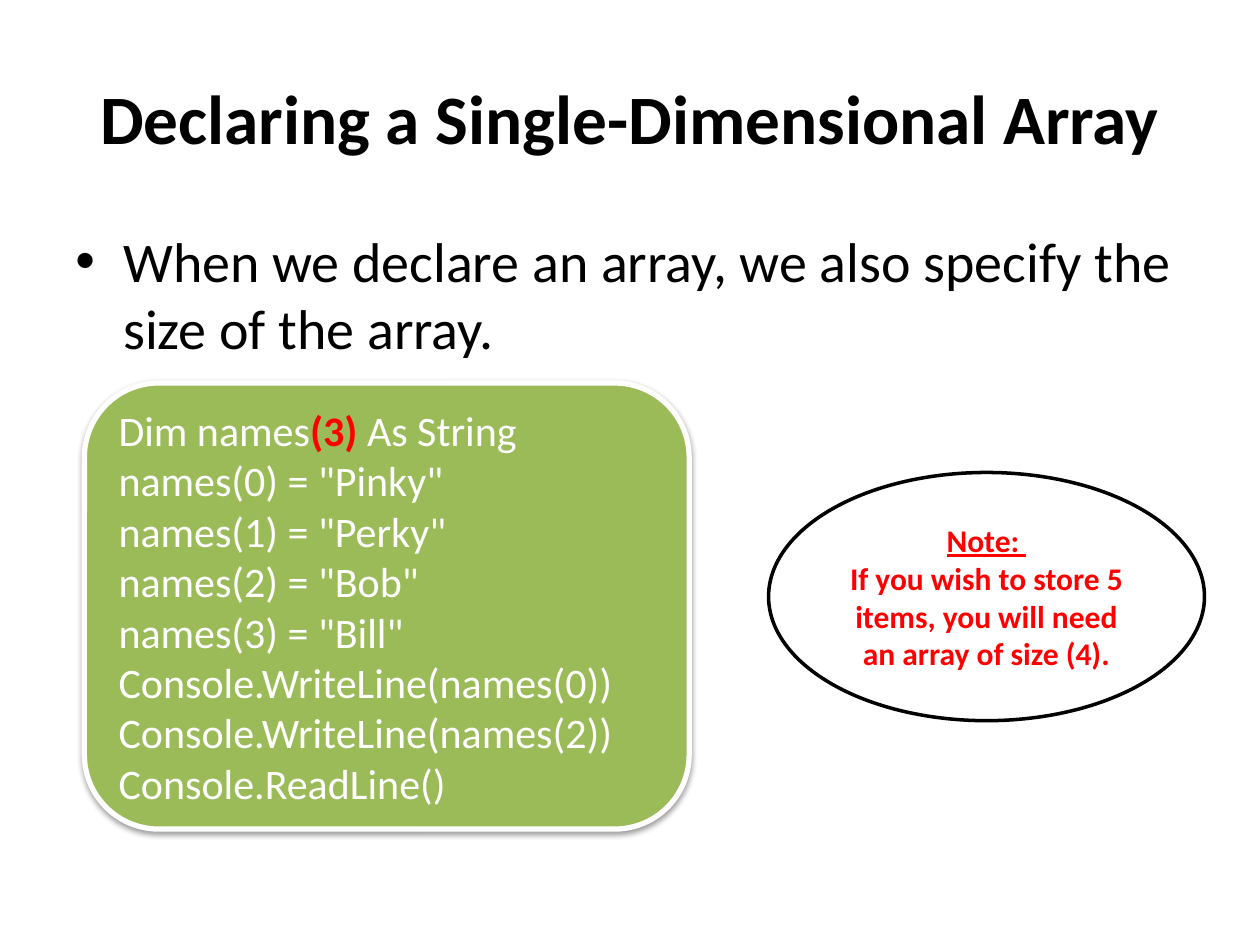
from lxml import etree
from pptx import Presentation, util as u
from pptx.dml.color import RGBColor
from pptx.enum import shapes, text
from pptx.oxml.ns import qn

COLUMNS, ROWS = 10, 7.5
BLACK, WHITE, RED, GREEN = "000000", "FFFFFF", "FF0000", "9BBB59"

CODE_START = "Dim names"
CODE_SIZE = "(3) "
CODE_REST = """As String
names(0) = "Pinky"
names(1) = "Perky"
names(2) = "Bob"
names(3) = "Bill"
Console.WriteLine(names(0))
Console.WriteLine(names(2))
Console.ReadLine()"""


def color(hex_string):
    return RGBColor.from_string(hex_string)


class Lesson:
    """Holds the style and the current slide; places are in grid columns and rows."""

    font_name = "Calibri"

    def __init__(self):
        self.deck = Presentation()
        self.deck.slide_width = u.Inches(10)
        self.deck.slide_height = u.Inches(7.5)
        self.slide = self.deck.slides.add_slide(self.deck.slide_layouts[6])

    def place(self, column, row, columns, rows):
        wide, high = self.deck.slide_width, self.deck.slide_height
        return (int(wide * column / COLUMNS), int(high * row / ROWS),
                int(wide * columns / COLUMNS), int(high * rows / ROWS))

    def format_run(self, run, size, ink, bold=False, underline=False):
        font = run.font
        font.name, font.size = self.font_name, u.Pt(size)
        font.bold, font.underline = bold, underline
        font.color.rgb = color(ink)

    def text_box(self, place, words, size, bold=False):
        frame = self.slide.shapes.add_textbox(*self.place(*place)).text_frame
        frame.word_wrap = True
        frame.text = words
        self.format_run(frame.paragraphs[0].runs[0], size, BLACK, bold)
        return frame

    def title(self, place, words):
        frame = self.text_box(place, words, 39.6, bold=True)
        frame.vertical_anchor = text.MSO_ANCHOR.MIDDLE
        frame.paragraphs[0].alignment = text.PP_ALIGN.CENTER

    def bullet(self, place, words):
        frame = self.text_box(place, words, 32)
        properties = frame.paragraphs[0]._p.get_or_add_pPr()
        indent = u.Inches(0.38)
        properties.set("marL", str(indent))
        properties.set("indent", str(-indent))
        etree.SubElement(properties, qn("a:buFont")).set("typeface", "Arial")
        etree.SubElement(properties, qn("a:buChar")).set("char", "•")

    def panel(self, kind, place, fill, border, border_width):
        panel = self.slide.shapes.add_shape(kind, *self.place(*place))
        panel.shadow.inherit = False
        panel.fill.solid()
        panel.fill.fore_color.rgb = color(fill)
        panel.line.color.rgb = color(border)
        panel.line.width = u.Pt(border_width)
        panel.text_frame.word_wrap = True
        panel.text_frame.vertical_anchor = text.MSO_ANCHOR.MIDDLE
        return panel

    def drop_shadow(self, panel):
        effects = panel._element.spPr.find(qn("a:effectLst"))
        shadow = etree.SubElement(
            effects, qn("a:outerShdw"), blurRad=str(u.Pt(3.1)),
            dist=str(u.Pt(1.6)), dir="5400000", rotWithShape="0")
        ink = etree.SubElement(shadow, qn("a:srgbClr"), val=BLACK)
        etree.SubElement(ink, qn("a:alpha"), val="38000")

    def code(self, place, spans):
        """Spans are (words, ink, bold); a new line in the words breaks the line."""
        panel = self.panel(shapes.MSO_SHAPE.ROUNDED_RECTANGLE, place, GREEN, WHITE, 3)
        self.drop_shadow(panel)
        listing = panel.text_frame.paragraphs[0]
        listing.alignment = text.PP_ALIGN.LEFT
        for words, ink, bold in spans:
            for number, line in enumerate(words.split("\n")):
                if number:
                    listing.add_line_break()
                run = listing.add_run()
                run.text = line
                self.format_run(run, 24, ink, bold)

    def note(self, place, heading, words):
        frame = self.panel(shapes.MSO_SHAPE.OVAL, place, WHITE, BLACK, 2).text_frame
        frame.text = f"{heading}\n{words}"
        for paragraph, underline in zip(frame.paragraphs, (True, False)):
            paragraph.alignment = text.PP_ALIGN.CENTER
            self.format_run(paragraph.runs[0], 18, RED, True, underline)


def main():
    lesson = Lesson()
    lesson.title((0.5, 0.3, 9, 1.25), "Declaring a Single-Dimensional Array")
    lesson.bullet((0.5, 1.75, 9, 1.2),
                  "When we declare an array, we also specify the size of the array.")
    lesson.code((0.67, 3.04, 4.8, 3.54),
                [(CODE_START, WHITE, False), (CODE_SIZE, RED, True),
                 (CODE_REST, WHITE, False)])
    lesson.note((6.1, 3.75, 3.46, 1.97), "Note: ",
                "If you wish to store 5 items, you will need an array of size (4).")
    lesson.deck.save("out.pptx")


if __name__ == "__main__":
    main()
